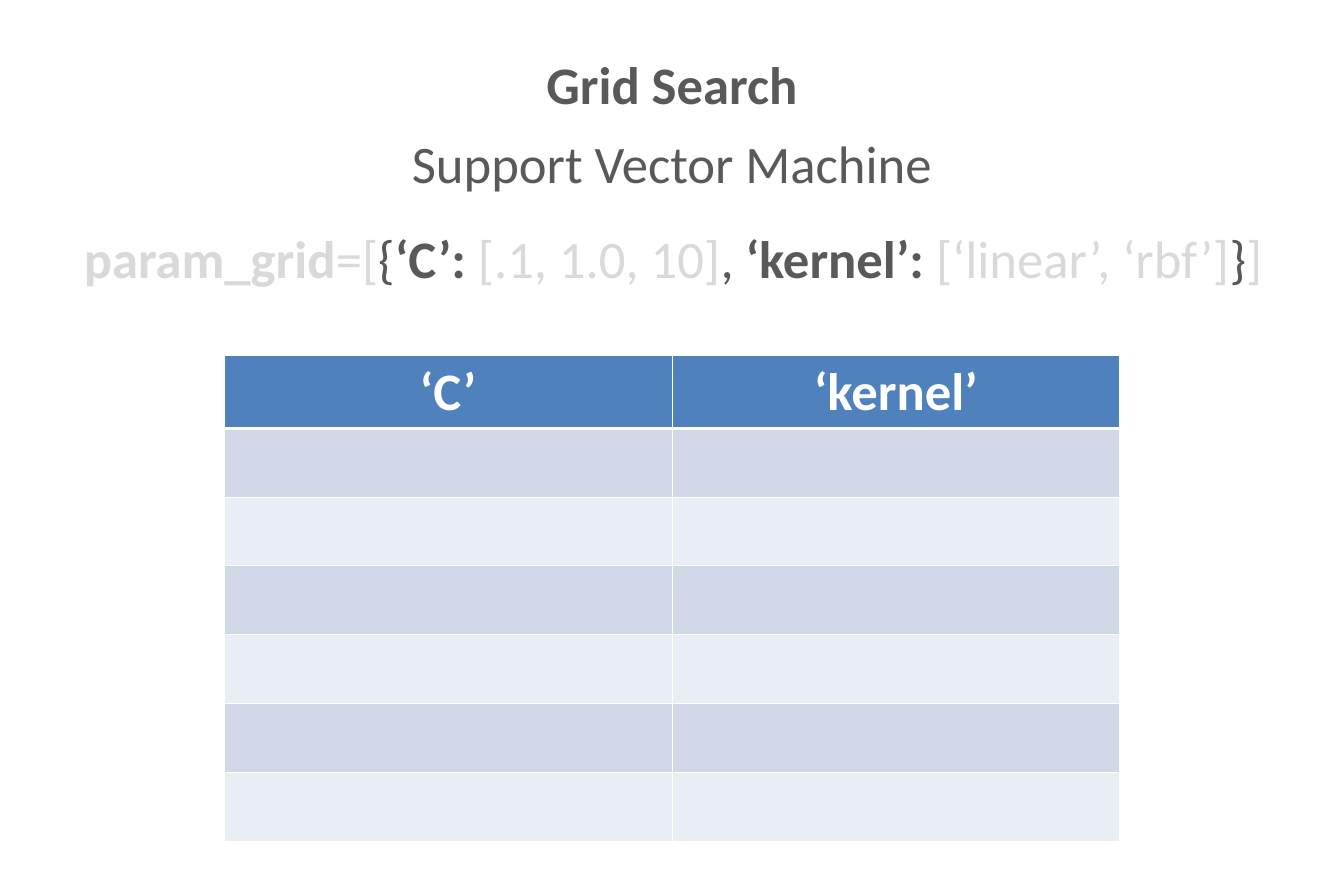
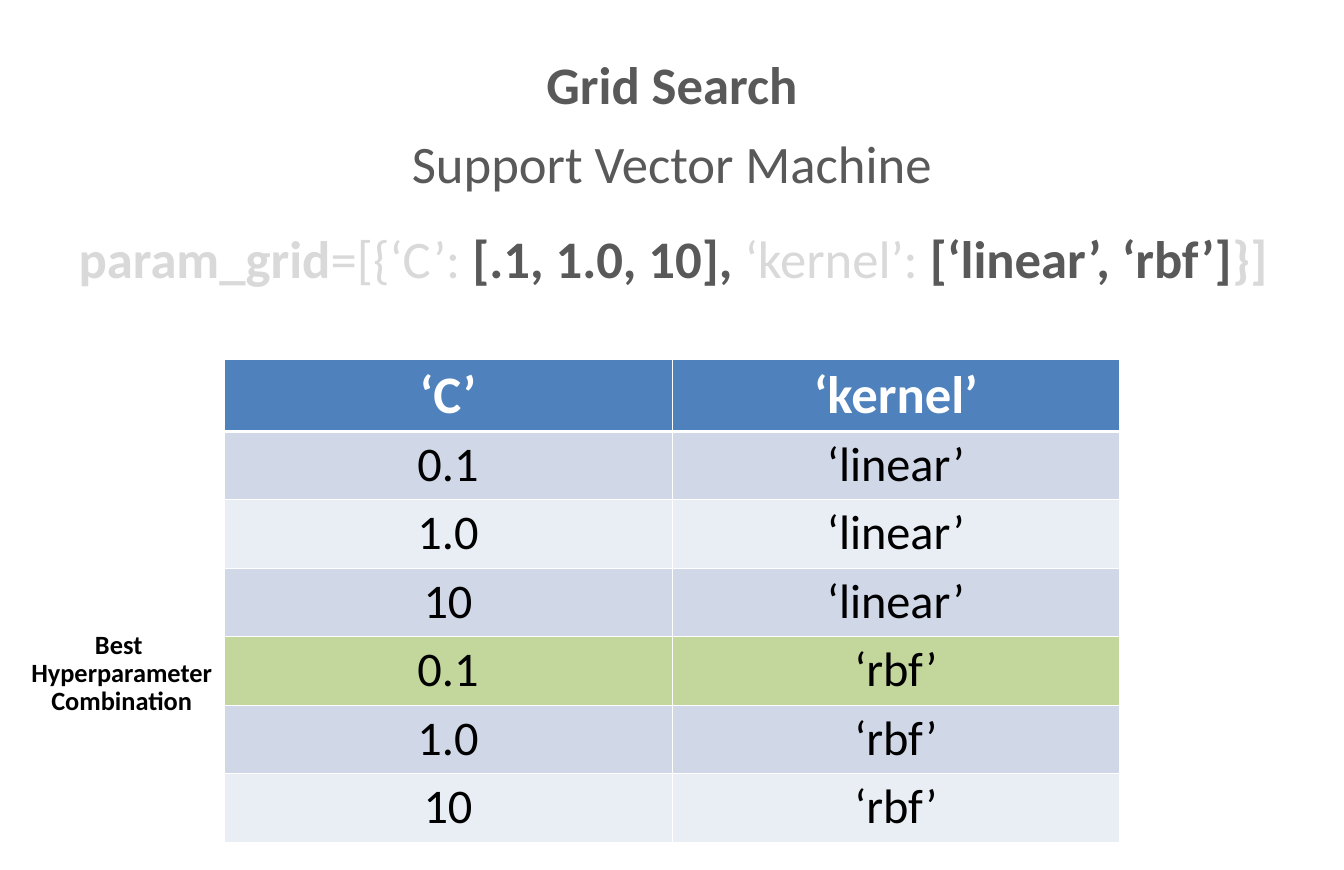
from lxml.etree import SubElement
from pptx import Presentation
from pptx.dml.color import RGBColor
from pptx.enum.text import MSO_ANCHOR, MSO_AUTO_SIZE, PP_ALIGN
from pptx.oxml.ns import qn
from pptx.util import Cm, Pt

FONT = "Calibri"
DARK = RGBColor(0x59, 0x59, 0x59)
FADED = RGBColor(0xD9, 0xD9, 0xD9)
BLACK = RGBColor(0, 0, 0)
WHITE = RGBColor(0xFF, 0xFF, 0xFF)
HEADER_FILL = RGBColor(0x4F, 0x81, 0xBD)
BANDS = (RGBColor(0xD0, 0xD8, 0xE8), RGBColor(0xE9, 0xED, 0xF4))
BEST_FILL = RGBColor(0xC3, 0xD6, 0x9B)

SLIDE_W, SLIDE_H = 43.18, 27.94
LINE_H = 3.05
HEADING_W, TABLE_W = 21.38, 28.78
HEADER_ROW_H = 2.31

TITLE = "Grid Search"
SUBTITLE = "Support Vector Machine"
HEADER = ("‘C’", "‘kernel’")
C_VALUES = ("0.1", "1.0", "10")
KERNELS = ("‘linear’", "‘rbf’")
COMBINATIONS = [(c, kernel) for kernel in KERNELS for c in C_VALUES]

# Each param_grid piece is (text, colour, bold)
SLIDES = [
    {
        "param_grid": [
            ("param_grid", FADED, True), ("=[", FADED, False),
            ("{", DARK, False), ("‘C’: ", DARK, True),
            ("[.1, 1.0, 10]", FADED, False), (", ", DARK, False),
            ("‘kernel’: ", DARK, True), ("[‘linear’, ‘rbf’]", FADED, False),
            ("}", DARK, False), ("]", FADED, False),
        ],
        "rows": [("", "")] * len(COMBINATIONS),
        "table_top": 11.43, "row_h": 2.21, "best": None, "note": [],
    },
    {
        "param_grid": [
            ("param_grid", FADED, True), ("=[{‘C’: ", FADED, False),
            ("[.1, 1.0, 10], ", DARK, True), ("‘kernel’: ", FADED, False),
            ("[‘linear’, ‘rbf’]", DARK, True), ("}]", FADED, True),
        ],
        "rows": COMBINATIONS,
        "table_top": 11.53, "row_h": 2.2, "best": 3,
        "note": ["Best ", "Hyperparameter Combination"],
    },
]


def format_run(r, size, color, bold):
    r.font.name = FONT
    r.font.size = Pt(size)
    r.font.color.rgb = color
    r.font.bold = bold


def fill_box(sp, left, top, width, paragraphs, size):
    """Place a text shape and write paragraphs of (text, colour, bold) pieces."""
    sp.left, sp.top, sp.width, sp.height = map(Cm, (left, top, width, LINE_H))
    tf = sp.text_frame
    tf.word_wrap = True
    tf.auto_size = MSO_AUTO_SIZE.NONE
    tf.vertical_anchor = MSO_ANCHOR.MIDDLE
    for i, pieces in enumerate(paragraphs):
        p = tf.add_paragraph() if i else tf.paragraphs[0]
        p.alignment = PP_ALIGN.CENTER
        p.line_spacing = 0.9
        for text, color, bold in pieces:
            r = p.add_run()
            r.text = text
            format_run(r, size, color, bold)


def add_text(s, left, top, width, paragraphs, size=48):
    sp = s.shapes.add_textbox(0, 0, 0, 0)
    fill_box(sp, left, top, width, paragraphs, size)


def set_borders(cell, row):
    """White borders, thicker between the header and the body."""
    tc_pr = cell._tc.get_or_add_tcPr()
    for side in "LRTB":
        width = 3 if (row, side) in ((0, "B"), (1, "T")) else 1
        ln = SubElement(tc_pr, qn(f"a:ln{side}"), w=str(Pt(width)))
        fill = SubElement(ln, qn("a:solidFill"))
        SubElement(fill, qn("a:srgbClr"), val=str(WHITE))


def row_style(row, best):
    """Return the fill, text size, text colour and boldness of a table row."""
    if row == 0:
        return HEADER_FILL, 48, WHITE, True
    body_row = row - 1
    fill = BEST_FILL if body_row == best else BANDS[body_row % 2]
    return fill, 44, BLACK, False


def add_grid_table(s, rows, top, row_h, best):
    lines = [HEADER, *rows]
    height = HEADER_ROW_H + row_h * len(rows)
    table = s.shapes.add_table(len(lines), len(HEADER), Cm((SLIDE_W - TABLE_W) / 2),
                               Cm(top), Cm(TABLE_W), Cm(height)).table
    for i, values in enumerate(lines):
        table.rows[i].height = Cm(row_h if i else HEADER_ROW_H)
        fill, *font = row_style(i, best)
        for j, value in enumerate(values):
            cell = table.cell(i, j)
            set_borders(cell, i)
            cell.fill.solid()
            cell.fill.fore_color.rgb = fill
            if value:
                p = cell.text_frame.paragraphs[0]
                p.text = value
                p.alignment = PP_ALIGN.CENTER
                format_run(p.runs[0], *font)


def add_grid_slide(prs, content):
    s = prs.slides.add_slide(prs.slide_layouts[5])
    heading_left = (SLIDE_W - HEADING_W) / 2
    fill_box(s.shapes.title, heading_left, 1.27, HEADING_W, [[(TITLE, DARK, True)]], 48)
    add_text(s, heading_left, 3.81, HEADING_W, [[(SUBTITLE, DARK, False)]])
    add_text(s, 1.98, 6.86, 39.29, [content["param_grid"]])
    add_grid_table(s, content["rows"], content["table_top"], content["row_h"],
                   content["best"])
    if content["note"]:
        note = [[(line, BLACK, True)] for line in content["note"]]
        add_text(s, 0.61, 20.12, 6.6, note, size=24)


def main():
    prs = Presentation()
    prs.slide_width, prs.slide_height = Cm(SLIDE_W), Cm(SLIDE_H)
    for content in SLIDES:
        add_grid_slide(prs, content)
    prs.save("out.pptx")


if __name__ == "__main__":
    main()
